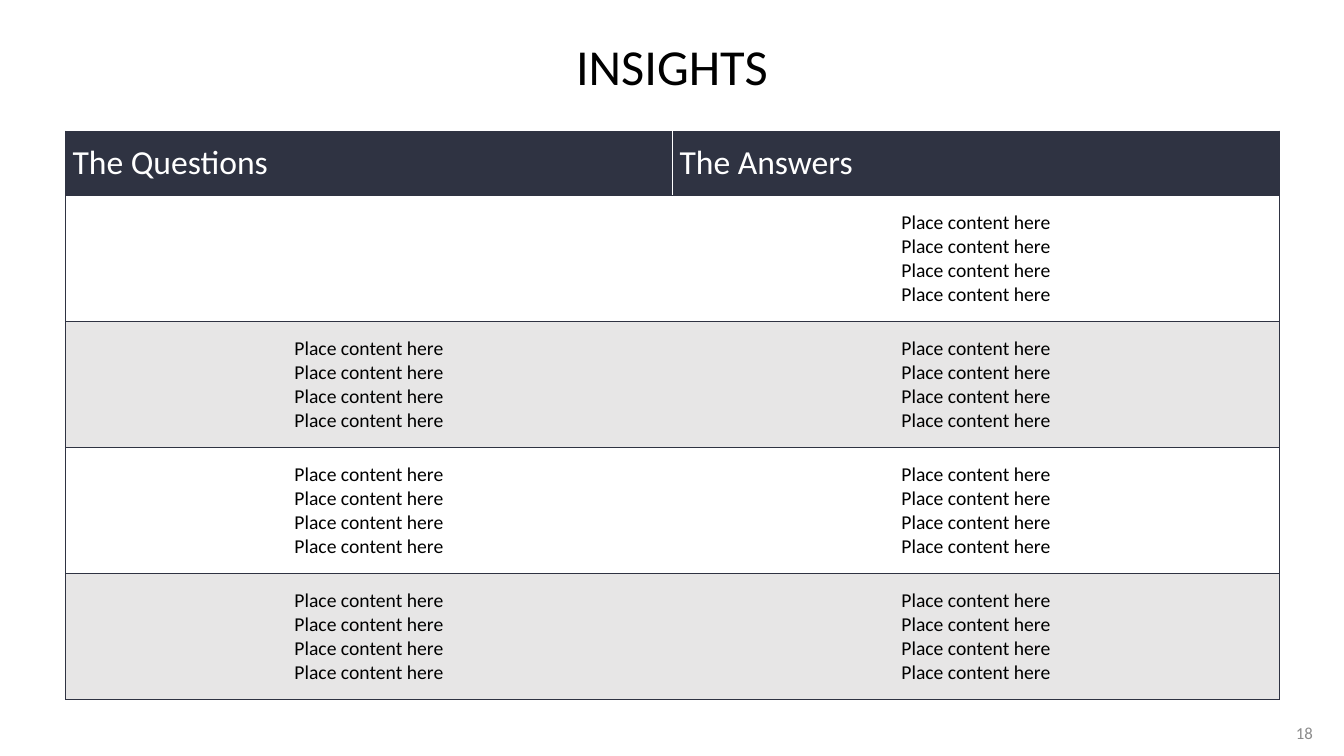
import pptx
import pptx.util
import pptx.dml.color
import pptx.enum.text
import pptx.oxml.ns
import lxml.etree

Inches = pptx.util.Inches
Pt = pptx.util.Pt
ALIGN = pptx.enum.text.PP_ALIGN
MIDDLE = pptx.enum.text.MSO_ANCHOR.MIDDLE

COLORS = {
    "navy": "2F3342", "white": "FFFFFF", "band": "E7E6E6",
    "black": "000000", "grey": "8C8C8C",
}
HEADS = ["The Questions", "The Answers"]
FILLER = ["Place content here"] * 4
ROWS = [["", FILLER]] + [[FILLER, FILLER]] * 3


def rgb(name):
    """Return the named colour."""
    return pptx.dml.color.RGBColor.from_string(COLORS[name])


def style(font, color, **form):
    """Apply format values to a font."""
    for key, value in {"name": "Calibri", **form}.items():
        setattr(font, key, value)
    font.color.rgb = rgb(color)


def add_text(slide, box, text, color, size, align):
    """Add a one-line text box."""
    frame = slide.shapes.add_textbox(*map(Inches, box)).text_frame
    for key, value in {"word_wrap": True, "vertical_anchor": MIDDLE}.items():
        setattr(frame, key, value)
    para = frame.paragraphs[0]
    para.alignment = align
    run = para.add_run()
    run.text = text
    style(run.font, color, size=Pt(size))


def set_edges(cell, edges):
    """Draw the given cell edges and clear the others."""
    props = cell._tc.get_or_add_tcPr()
    tag = pptx.oxml.ns.qn
    for spot, side in enumerate("LRTB"):
        line = lxml.etree.Element(tag(f"a:ln{side}"))
        if side in edges:
            color, width = edges[side]
            line.set("w", str(Pt(width)))
            fill = lxml.etree.SubElement(line, tag("a:solidFill"))
            lxml.etree.SubElement(fill, tag("a:srgbClr"), val=COLORS[color])
        else:
            line.set("w", "0")
            lxml.etree.SubElement(line, tag("a:noFill"))
        props.insert(spot, line)


def fill_cell(cell, lines, fill, color, size, align):
    """Write the lines of a cell and set its format."""
    values = {
        "vertical_anchor": MIDDLE,
        "margin_left": Inches(0.07), "margin_right": Inches(0.07),
        "margin_top": Inches(0.04), "margin_bottom": Inches(0.04),
    }
    for key, value in values.items():
        setattr(cell, key, value)
    cell.text = "\n".join(lines)
    for para in cell.text_frame.paragraphs:
        para.alignment = align
        style(para.font, color, size=Pt(size), bold=False)
    if fill:
        cell.fill.solid()
        cell.fill.fore_color.rgb = rgb(fill)
    else:
        cell.fill.background()


def add_grid(slide):
    """Add the table of questions and answers."""
    box = map(Inches, (0.65, 1.3, 12.03, 5.63))
    table = slide.shapes.add_table(len(ROWS) + 1, len(HEADS), *box).table
    table.horz_banding = False
    for col in table.columns:
        col.width = Inches(6.02)
    for num, row in enumerate(table.rows):
        row.height = Inches(1.25 if num else 0.64)
        for pos, cell in enumerate(row.cells):
            edges = dict.fromkeys("TB" + "LR"[pos], ("navy", 0.5))
            if num:
                fill = None if num % 2 else "band"
                fill_cell(cell, ROWS[num - 1][pos], fill, "black", 14, ALIGN.CENTER)
            else:
                edges["RL"[pos]] = ("white", 1)
                fill_cell(cell, [HEADS[pos]], "navy", "white", 24, ALIGN.LEFT)
            set_edges(cell, edges)


def main():
    """Build and save the slide."""
    deck = pptx.Presentation()
    deck.slide_width, deck.slide_height = Inches(13.33), Inches(7.5)
    slide = deck.slides.add_slide(deck.slide_layouts[6])
    add_text(slide, (0.65, 0, 12.03, 1.3), "INSIGHTS", "black", 36, ALIGN.CENTER)
    add_grid(slide)
    add_text(slide, (12.63, 7.07, 0.49, 0.4), "18", "grey", 12, ALIGN.RIGHT)
    deck.save("out.pptx")


if __name__ == "__main__":
    main()
